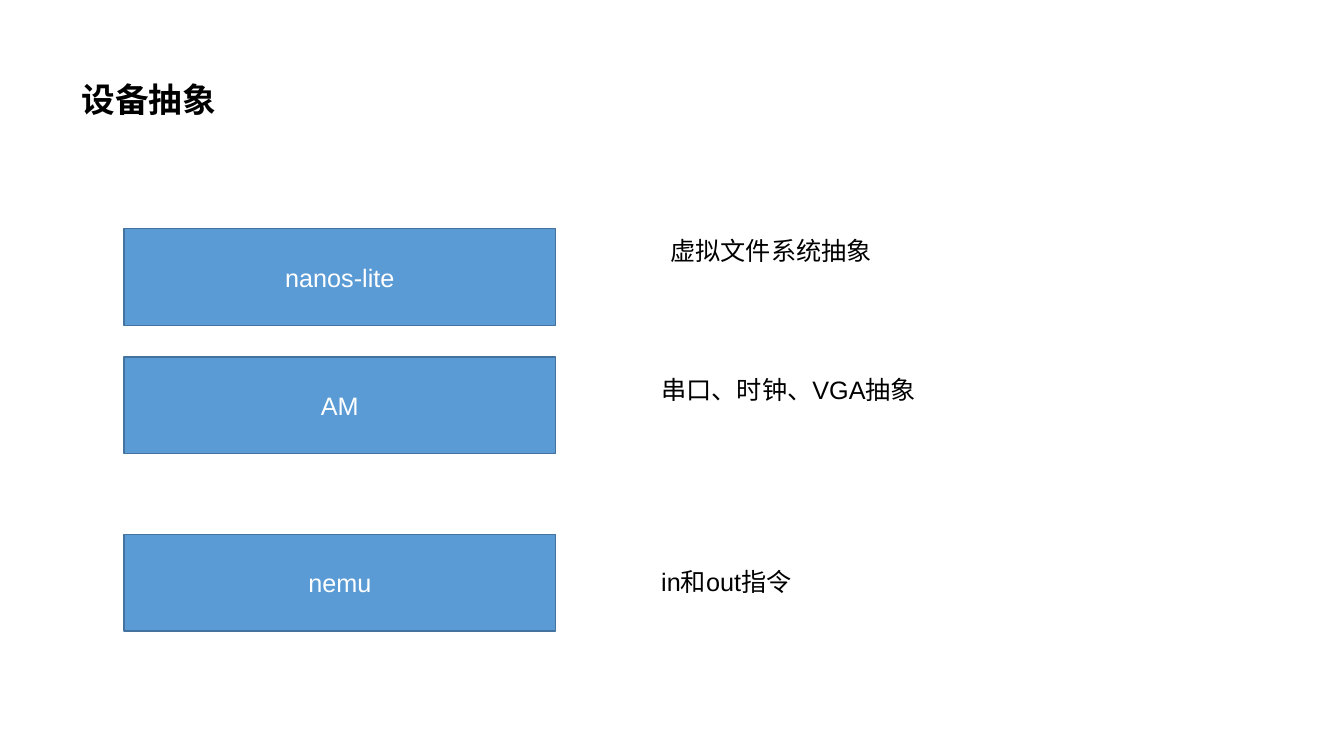
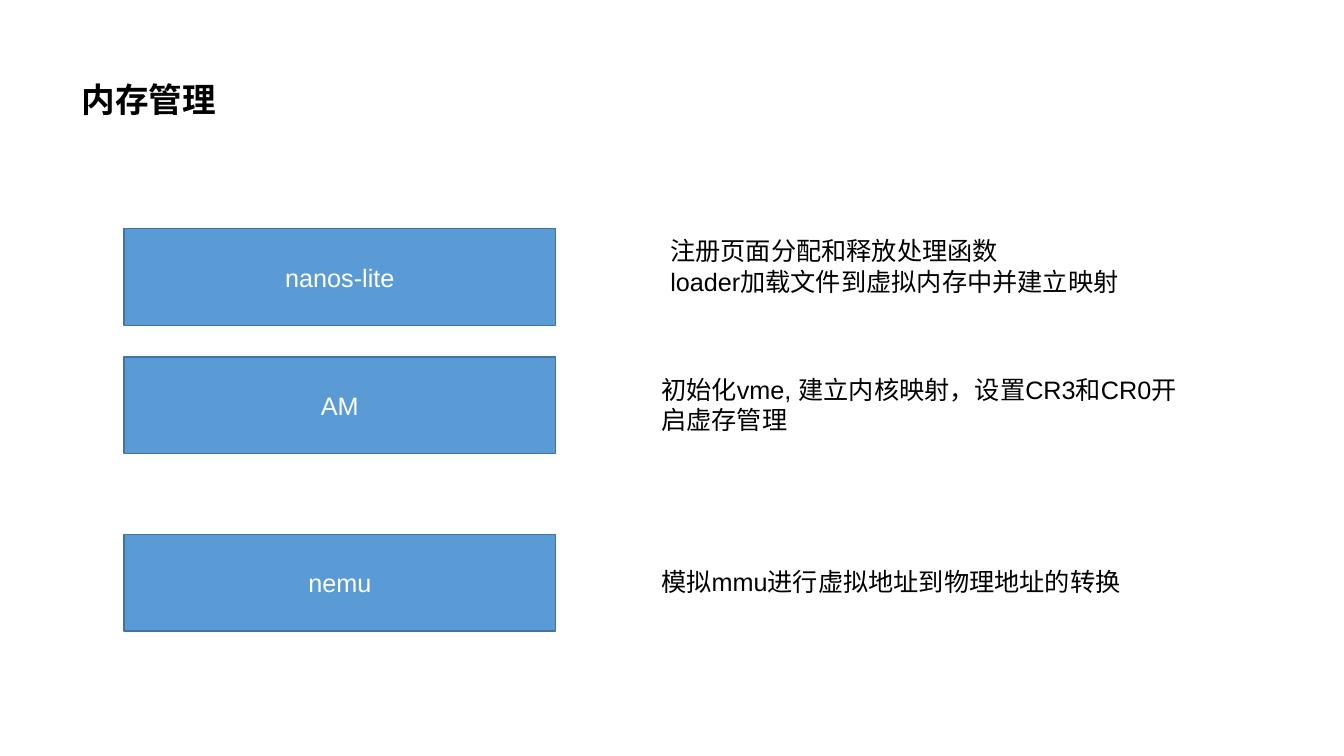
from pptx import Presentation
from pptx.dml.color import RGBColor
from pptx.enum.shapes import MSO_SHAPE
from pptx.enum.text import MSO_ANCHOR, PP_ALIGN
from pptx.util import Inches, Pt

# Shared formats
BLUE, EDGE, WHITE, BLACK = "5B9BD5", "43739E", "FFFFFF", "000000"
TITLE = {"name": "Montserrat", "size": Pt(24), "bold": True}
BODY = {"name": "Arial", "size": Pt(18)}

# Layers from top to bottom: name, box top, note left, top and width
LAYERS = [
    ("nanos-lite", 2.27, 6.55, 2.29, 5.34),
    ("AM", 3.54, 6.46, 3.66, 5.44),
    ("nemu", 5.3, 6.46, 5.57, 5),
]

# Slide titles, each with one note per layer
SLIDES = [
    ("设备抽象", [
        ["虚拟文件系统抽象"],
        ["串口、时钟、VGA抽象"],
        ["in和out指令"],
    ]),
    ("内存管理", [
        ["注册页面分配和释放处理函数", "loader加载文件到虚拟内存中并建立映射"],
        ["初始化vme, 建立内核映射，设置CR3和CR0开启虚存管理"],
        ["模拟mmu进行虚拟地址到物理地址的转换"],
    ]),
]


def rgb(color):
    return RGBColor.from_string(color)


def write(sp, lines, font, color, anchor=MSO_ANCHOR.TOP, **paragraph):
    tf = sp.text_frame
    tf.word_wrap = True
    tf.vertical_anchor = anchor
    tf.text = "\n".join(lines)
    for p in tf.paragraphs:
        for key, value in paragraph.items():
            setattr(p, key, value)
        for r in p.runs:
            r.font.color.rgb = rgb(color)
            for key, value in font.items():
                setattr(r.font, key, value)


prs = Presentation()
prs.slide_width, prs.slide_height = Inches(13.33), Inches(7.5)

for title, notes in SLIDES:
    s = prs.slides.add_slide(prs.slide_layouts[6])

    # Title
    sp = s.shapes.add_textbox(Inches(0.71), Inches(0.28), Inches(11.5), Inches(1.45))
    write(sp, [title], TITLE, BLACK, MSO_ANCHOR.MIDDLE, line_spacing=0.9)

    for (name, top, note_left, note_top, note_width), lines in zip(LAYERS, notes):
        # Layer box
        sp = s.shapes.add_shape(MSO_SHAPE.RECTANGLE, Inches(1.23), Inches(top),
                                Inches(4.28), Inches(0.96))
        sp.shadow.inherit = False
        sp.fill.solid()
        sp.fill.fore_color.rgb = rgb(BLUE)
        sp.line.color.rgb = rgb(EDGE)
        sp.line.width = Pt(1)
        write(sp, [name], BODY, WHITE, MSO_ANCHOR.MIDDLE, alignment=PP_ALIGN.CENTER)

        # Note beside the box
        sp = s.shapes.add_textbox(Inches(note_left), Inches(note_top),
                                  Inches(note_width), Inches(0.4))
        write(sp, lines, BODY, BLACK)

prs.save("out.pptx")
